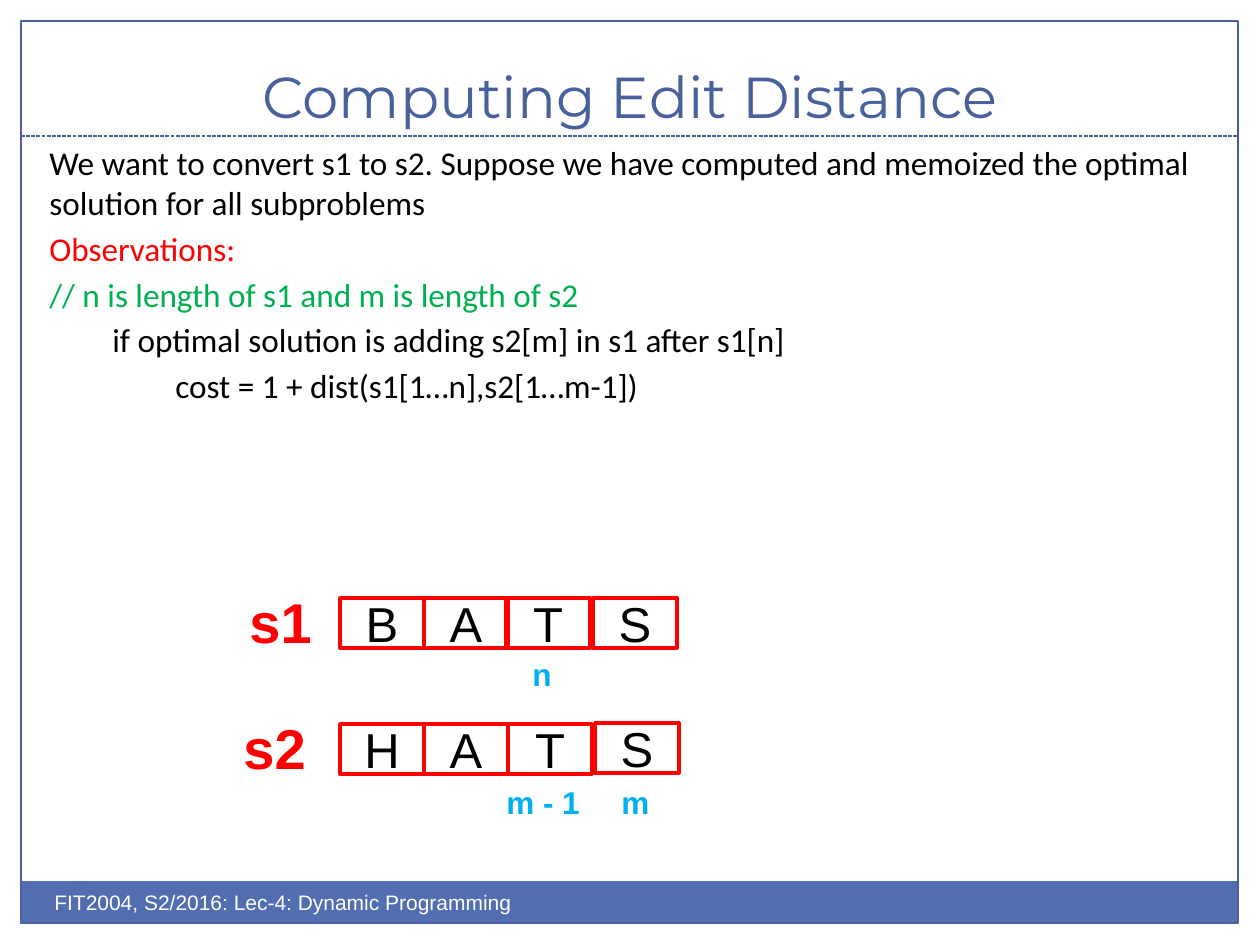
from pptx import Presentation
from pptx.dml.color import RGBColor
from pptx.enum.dml import MSO_LINE
from pptx.enum.shapes import MSO_CONNECTOR, MSO_SHAPE
from pptx.enum.text import MSO_ANCHOR, PP_ALIGN
from pptx.oxml.ns import qn
from pptx.util import Emu, Pt
from lxml import etree

LEFT, CENTER = PP_ALIGN.LEFT, PP_ALIGN.CENTER
TOP, MIDDLE, BOTTOM = MSO_ANCHOR.TOP, MSO_ANCHOR.MIDDLE, MSO_ANCHOR.BOTTOM
RECTANGLE, STRAIGHT = MSO_SHAPE.RECTANGLE, MSO_CONNECTOR.STRAIGHT
DASH = MSO_LINE.SQUARE_DOT

PX_PER_INCH = 126
COLORS = {
    "black": "000000", "white": "FFFFFF", "red": "FF0000", "green": "00B050",
    "sky": "00B0F0", "frame": "48609B", "footer": "526DB0",
}


def px(length):
    return Emu(round(length * 914400 / PX_PER_INCH))


def rgb(name):
    return RGBColor.from_string(COLORS[name])


class SlideBuilder:
    """Holds the text style and the slide being filled."""

    def __init__(self, slide, font="Arial"):
        self.slide = slide
        self.shapes = slide.shapes
        self.font = font

    def style(self, para, size, color, font=None, bold=False, align=LEFT):
        para.alignment = align
        para.font.name = font or self.font
        para.font.size = Pt(size)
        para.font.bold = bold
        para.font.color.rgb = rgb(color)

    def title(self, text, left, top, width, height):
        box = self.shapes.title
        box.left, box.top, box.width, box.height = map(px, (left, top, width, height))
        box.text_frame.text = text
        box.text_frame.vertical_anchor = BOTTOM
        self.style(box.text_frame.paragraphs[0], 33, "frame", "Montserrat", align=CENTER)

    def rectangle(self, left, top, width, height, fill=None, line=None, weight=0.75):
        box = self.shapes.add_shape(RECTANGLE, *map(px, (left, top, width, height)))
        box.shadow.inherit = False
        if fill:
            box.fill.solid()
            box.fill.fore_color.rgb = rgb(fill)
        else:
            box.fill.background()
        if line:
            box.line.color.rgb = rgb(line)
            box.line.width = Pt(weight)
        else:
            box.line.fill.background()
        return box

    def dashed_rule(self, left, right, y):
        rule = self.shapes.add_connector(STRAIGHT, px(left), px(y), px(right), px(y))
        rule.line.color.rgb = rgb("frame")
        rule.line.width = Pt(0.75)
        rule.line.dash_style = DASH
        etree.SubElement(rule._element.spPr, qn("a:effectLst"))

    def text(self, lines, left, top, width, height, size, font=None, bold=False,
             wrap=True, space=0):
        """Add a text box from (text, color) pairs, one paragraph each."""
        box = self.shapes.add_textbox(*map(px, (left, top, width, height)))
        frame = box.text_frame
        frame.word_wrap = wrap
        frame.vertical_anchor = TOP
        for index, (line, color) in enumerate(lines):
            para = frame.add_paragraph() if index else frame.paragraphs[0]
            para.add_run().text = line
            self.style(para, size, color, font, bold)
            if index:
                para.space_before = Pt(space)

    def label(self, text, left, top, width, height, size, color):
        self.text([(text, color)], left, top, width, height, size, bold=True, wrap=False)

    def cell(self, letter, left, top):
        box = self.rectangle(left, top, 84, 50, line="red", weight=2)
        frame = box.text_frame
        frame.text = letter
        frame.vertical_anchor = MIDDLE
        self.style(frame.paragraphs[0], 28, "black", align=CENTER)


def main():
    deck = Presentation()
    deck.slide_width, deck.slide_height = px(1260), px(945)
    page = SlideBuilder(deck.slides.add_slide(deck.slide_layouts[5]))

    page.rectangle(21, 881, 1217, 43, fill="footer")
    page.rectangle(21, 21, 1217, 902, line="frame")
    page.dashed_rule(21, 1238, 136)
    page.title("Computing Edit Distance", 42, 31, 1176, 105)

    page.text([
        ("We want to convert s1 to s2. Suppose we have computed and memoized "
         "the optimal solution for all subproblems", "black"),
        ("Observations:", "red"),
        ("// n is length of s1 and m is length of s2", "green"),
        ("\tif optimal solution is adding s2[m] in s1 after s1[n]", "black"),
        ("\t\tcost = 1 + dist(s1[1…n],s2[1…m-1])", "black"),
    ], 37, 136, 1177, 445, 19, font="Calibri", space=3.4)

    words = [
        ("s1", 237, 581, [("B", 340, 598), ("A", 424, 598), ("T", 506, 598), ("S", 593, 598)]),
        ("s2", 231, 707, [("H", 340, 724), ("A", 424, 724), ("T", 508, 724), ("S", 595, 723)]),
    ]
    for name, left, top, cells in words:
        page.label(name, left, top, 88, 81, 32, "red")
        for letter, cell_left, cell_top in cells:
            page.cell(letter, cell_left, cell_top)

    for index, left, top, width in [("n", 520, 649, 45), ("m - 1", 494, 777, 100),
                                    ("m", 609, 777, 54)]:
        page.label(index, left, top, width, 50, 18, "sky")

    page.text([("FIT2004, S2/2016: Lec-4: Dynamic Programming", "white")],
              42, 883, 630, 50, 12)
    deck.save("out.pptx")


if __name__ == "__main__":
    main()
